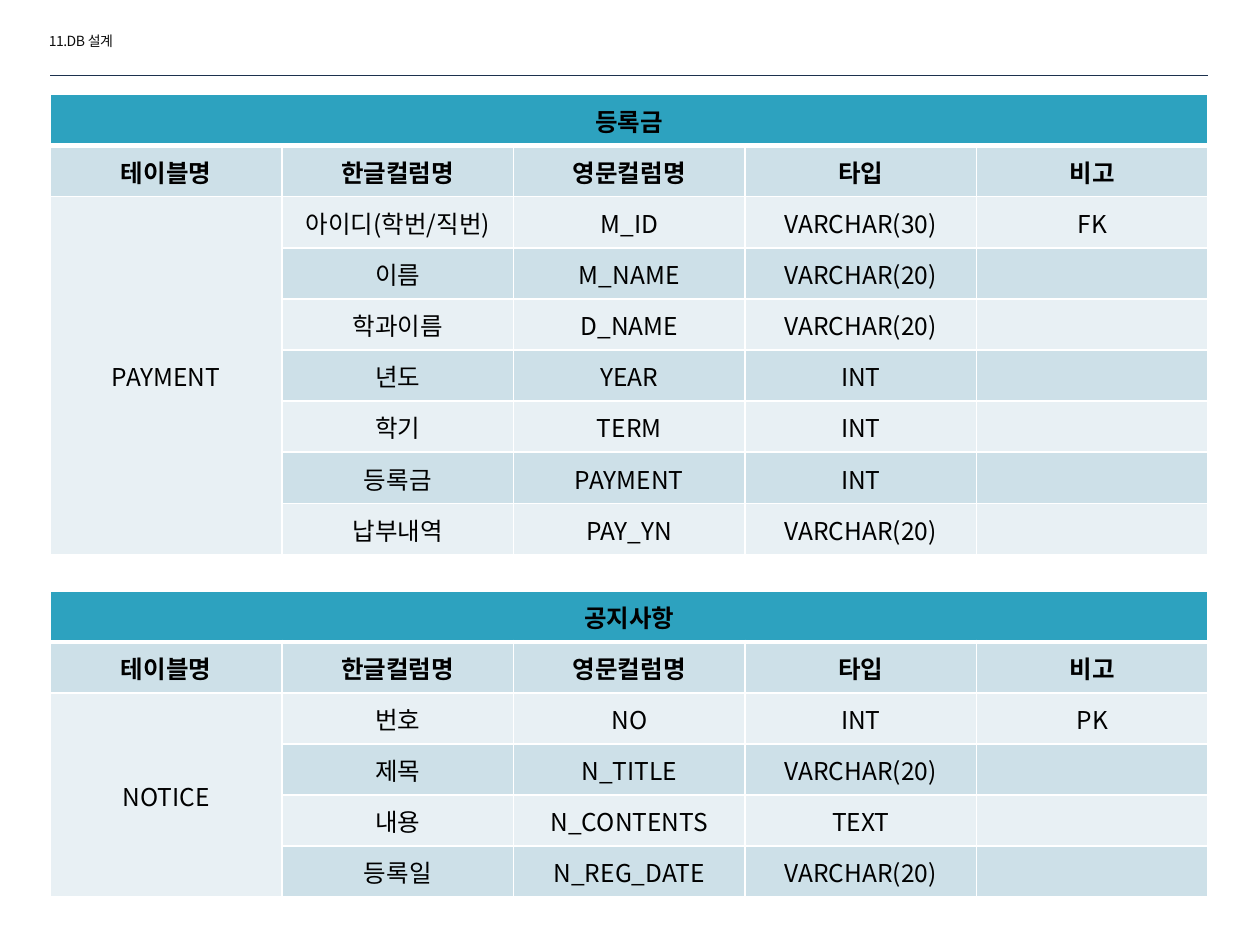
from lxml import etree
from pptx import Presentation, util as u
from pptx.dml.color import RGBColor
from pptx.enum import shapes, text
from pptx.oxml import ns

FONT = "Noto Sans CJK KR"
COLORS = {"title": "2DA2BF", "dark": "CDE0E8", "light": "E8F0F4", "border": "FFFFFF",
          "text": "000000", "heading": "0D0D0D", "rule": "1C314E"}
HEADERS = ["테이블명", "한글컬럼명", "영문컬럼명", "타입", "비고"]
PAYMENT = [
    ("아이디(학번/직번)", "M_ID", "VARCHAR(30)", "FK"),
    ("이름", "M_NAME", "VARCHAR(20)", ""),
    ("학과이름", "D_NAME", "VARCHAR(20)", ""),
    ("년도", "YEAR", "INT", ""),
    ("학기", "TERM", "INT", ""),
    ("등록금", "PAYMENT", "INT", ""),
    ("납부내역", "PAY_YN", "VARCHAR(20)", ""),
]
NOTICE = [
    ("번호", "NO", "INT", "PK"),
    ("제목", "N_TITLE", "VARCHAR(20)", ""),
    ("내용", "N_CONTENTS", "TEXT", ""),
    ("등록일", "N_REG_DATE", "VARCHAR(20)", ""),
]


def rgb(name):
    """Return the named palette colour."""
    return RGBColor.from_string(COLORS[name])


def set_font(p, size, color, bold=False):
    """Set the Latin and East Asian font of a paragraph."""
    f = p.font
    f.size, f.bold, f.name = u.Pt(size), bold, FONT
    f.color.rgb = rgb(color)
    r_pr = p._p.pPr.find(ns.qn("a:defRPr"))
    r_pr.find(ns.qn("a:latin")).addnext(etree.Element(ns.qn("a:ea"), typeface=FONT))
    return r_pr


def set_borders(cell, bottom):
    """Draw white borders round a cell, with the bottom width in points."""
    tc_pr = cell._tc.get_or_add_tcPr()
    for i, (side, width) in enumerate(zip("LRTB", (1, 1, 1, bottom))):
        ln = etree.Element(ns.qn(f"a:ln{side}"), w=str(u.Pt(width)))
        fill = etree.SubElement(ln, ns.qn("a:solidFill"))
        etree.SubElement(fill, ns.qn("a:srgbClr"), val=COLORS["border"])
        tc_pr.insert(i, ln)


def style_cell(cell, value, fill, bold, bottom):
    """Write and format one table cell."""
    cell.text = value
    cell.vertical_anchor = text.MSO_ANCHOR.MIDDLE
    cell.margin_left = cell.margin_right = cell.margin_top = u.Inches(0.01)
    cell.margin_bottom = 0
    cell.fill.solid()
    cell.fill.fore_color.rgb = rgb(fill)
    p = cell.text_frame.paragraphs[0]
    p.alignment = text.PP_ALIGN.CENTER
    set_font(p, 14, "text", bold)
    set_borders(cell, bottom)


def add_schema(s, top, height, title, name, columns):
    """Add a schema table with a title row and a merged name column."""
    rows = [[title] + [""] * 4, HEADERS]
    rows += [[name if i == 0 else "", *column] for i, column in enumerate(columns)]
    table = s.shapes.add_table(len(rows), len(HEADERS), u.Inches(0.4), u.Inches(top),
                               u.Inches(9.19), u.Inches(height)).table
    for i, row in enumerate(rows):
        table.rows[i].height = u.Inches(height / len(rows))
        band = "title" if i == 0 else "dark" if i % 2 else "light"
        for j, value in enumerate(row):
            fill = "light" if j == 0 and i > 1 else band
            style_cell(table.cell(i, j), value, fill, i < 2, 3 if i == 0 else 1)
    table.cell(0, 0).merge(table.cell(0, len(HEADERS) - 1))
    table.cell(2, 0).merge(table.cell(len(rows) - 1, 0))


def add_heading(s, value):
    """Add the section heading at the top left."""
    sp = s.shapes.add_textbox(u.Inches(0.29), u.Inches(0.21), u.Inches(1.73), u.Inches(0.24))
    tf = sp.text_frame
    tf.word_wrap = True
    tf.auto_size = text.MSO_AUTO_SIZE.SHAPE_TO_FIT_TEXT
    p = tf.paragraphs[0]
    p.text = value
    set_font(p, 8, "heading").set("spc", "-30")


def add_rule(s):
    """Add the thin line under the heading."""
    line = s.shapes.add_connector(shapes.MSO_CONNECTOR.STRAIGHT, u.Inches(0.4), u.Inches(0.6),
                                  u.Inches(9.59), u.Inches(0.6))
    line.line.color.rgb = rgb("rule")
    line.line.width = u.Pt(0.25)
    etree.SubElement(line._element.spPr, ns.qn("a:effectLst"))


def main():
    """Build the slide and save it."""
    prs = Presentation()
    prs.slide_width, prs.slide_height = u.Inches(10), u.Inches(7.5)
    s = prs.slides.add_slide(prs.slide_layouts[6])
    add_heading(s, "11.DB 설계")
    add_rule(s)
    add_schema(s, 0.75, 3.65, "등록금", "PAYMENT", PAYMENT)
    add_schema(s, 4.69, 2.43, "공지사항", "NOTICE", NOTICE)
    prs.save("out.pptx")


if __name__ == "__main__":
    main()
